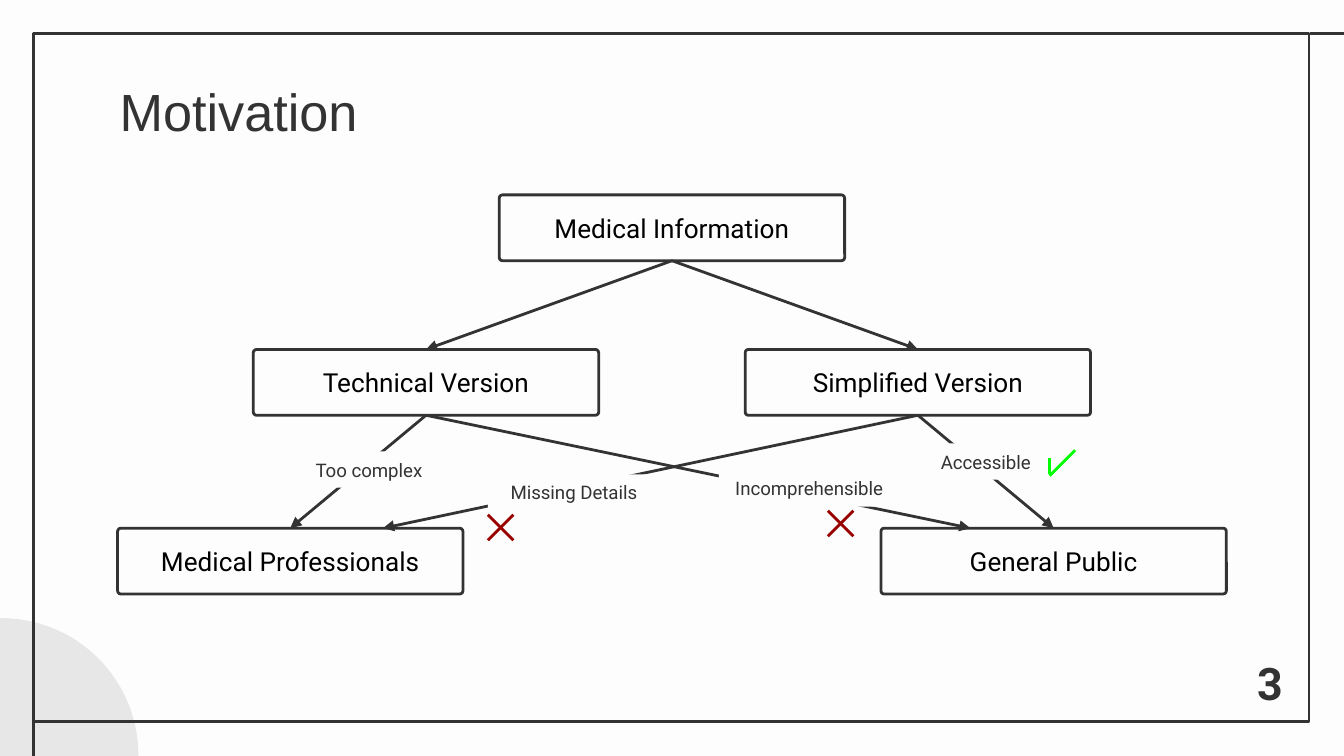
from dataclasses import dataclass

from lxml.etree import SubElement
from pptx import Presentation
from pptx.dml.color import RGBColor
from pptx.enum.shapes import MSO_CONNECTOR, MSO_SHAPE
from pptx.enum.text import MSO_ANCHOR, MSO_AUTO_SIZE, PP_ALIGN
from pptx.oxml.ns import qn
from pptx.util import Inches, Pt


@dataclass(frozen=True)
class Theme:
    paper: str = "FDFDFD"
    ink: str = "333333"
    node_text: str = "000000"
    accent: str = "E8E7E7"
    wrong: str = "980000"
    right: str = "00FF00"
    title_font: str = "Arial"
    body_font: str = "Roboto"
    title_size: int = 28
    number_size: int = 24
    node_size: int = 14
    label_size: int = 10
    stroke: float = 1.5


@dataclass(frozen=True)
class Node:
    text: str
    center: float
    top: float
    width: float = 2.57
    height: float = 0.49

    @property
    def left(self) -> float:
        return self.center - self.width / 2

    @property
    def bottom(self) -> float:
        return self.top + self.height


@dataclass(frozen=True)
class Arrow:
    source: Node
    target: Node
    shift: float = 0


@dataclass(frozen=True)
class Label:
    text: str
    left: float
    top: float
    width: float
    height: float = 0.27


THEME = Theme()
CROSS_SIZE = 0.19

information = Node("Medical Information", 5, 1.45)
technical = Node("Technical Version", 3.17, 2.6)
simplified = Node("Simplified Version", 6.83, 2.6)
professionals = Node("Medical Professionals", 2.16, 3.93)
public = Node("General Public", 7.84, 3.93)

NODES = [information, technical, simplified, professionals, public]
ARROWS = [
    Arrow(information, technical),
    Arrow(information, simplified),
    Arrow(technical, professionals),
    Arrow(simplified, public),
    Arrow(simplified, professionals, 0.69),
    Arrow(technical, public, -0.62),
]
LABELS = [
    Label("Missing Details", 3.63, 3.53, 1.28),
    Label("Too complex", 2.18, 3.36, 1.13),
    Label("Incomprehensible", 5.35, 3.5, 1.34),
    Label("Accessible", 6.9, 3.3, 0.87),
]
CROSSES = [(3.63, 3.83), (6.16, 3.8)]


def write(frame, text: str, *, size: float, color: str = THEME.ink, font: str = THEME.body_font,
          bold: bool = False, align=PP_ALIGN.CENTER, anchor=MSO_ANCHOR.MIDDLE,
          inset: float = 0.1, fit=MSO_AUTO_SIZE.NONE) -> None:
    frame.word_wrap = True
    frame.auto_size = fit
    frame.vertical_anchor = anchor
    frame.margin_left = frame.margin_right = Inches(inset)
    frame.margin_top = frame.margin_bottom = Inches(inset)
    paragraph = frame.paragraphs[0]
    paragraph.alignment = align
    run = paragraph.add_run()
    run.text = text
    run.font.name = font
    run.font.size = Pt(size)
    run.font.bold = bold
    run.font.color.rgb = RGBColor.from_string(color)


def draw_shape(slide, kind, left: float, top: float, width: float, height: float,
               fill: str = "", outline: str = ""):
    shape = slide.shapes.add_shape(kind, Inches(left), Inches(top), Inches(width), Inches(height))
    shape.shadow.inherit = False
    if fill:
        shape.fill.solid()
        shape.fill.fore_color.rgb = RGBColor.from_string(fill)
    else:
        shape.fill.background()
    if outline:
        shape.line.color.rgb = RGBColor.from_string(outline)
        shape.line.width = Pt(THEME.stroke)
    else:
        shape.line.fill.background()
    return shape


def draw_line(slide, x1: float, y1: float, x2: float, y2: float,
              color: str = THEME.ink, arrowhead: bool = False) -> None:
    connector = slide.shapes.add_connector(
        MSO_CONNECTOR.STRAIGHT, Inches(x1), Inches(y1), Inches(x2), Inches(y2))
    connector.line.color.rgb = RGBColor.from_string(color)
    connector.line.width = Pt(THEME.stroke)
    properties = connector._element.spPr
    if arrowhead:
        SubElement(properties.find(qn("a:ln")), qn("a:tailEnd"), type="triangle")
    SubElement(properties, qn("a:effectLst"))


def draw_node(slide, node: Node) -> None:
    box = draw_shape(slide, MSO_SHAPE.ROUNDED_RECTANGLE, node.left, node.top,
                     node.width, node.height, THEME.paper, THEME.ink)
    box.adjustments[0] = 0.05
    write(box.text_frame, node.text, size=THEME.node_size, color=THEME.node_text)


def draw_arrow(slide, arrow: Arrow) -> None:
    draw_line(slide, arrow.source.center, arrow.source.bottom,
              arrow.target.center + arrow.shift, arrow.target.top, arrowhead=True)


def draw_label(slide, label: Label) -> None:
    box = draw_shape(slide, MSO_SHAPE.RECTANGLE, label.left, label.top,
                     label.width, label.height, THEME.paper)
    write(box.text_frame, label.text, size=THEME.label_size, inset=0.05,
          fit=MSO_AUTO_SIZE.SHAPE_TO_FIT_TEXT)


def draw_cross(slide, left: float, top: float) -> None:
    right, bottom = left + CROSS_SIZE, top + CROSS_SIZE
    draw_line(slide, right, top, left, bottom, THEME.wrong)
    draw_line(slide, right, bottom, left, top, THEME.wrong)


def draw_frame(slide) -> None:
    draw_shape(slide, MSO_SHAPE.OVAL, -1.01, 4.6, 2.04, 2.04, THEME.accent)
    draw_shape(slide, MSO_SHAPE.RECTANGLE, 0.25, 0.25, 9.49, 5.12, outline=THEME.ink)
    draw_line(slide, 10.08, 0.25, 9.75, 0.25)
    draw_line(slide, 0.25, 5.68, 0.25, 5.35)


def main() -> None:
    deck = Presentation()
    deck.slide_width = Inches(10)
    deck.slide_height = deck.slide_width * 9 // 16
    slide = deck.slides.add_slide(deck.slide_layouts[5])
    slide.background.fill.solid()
    slide.background.fill.fore_color.rgb = RGBColor.from_string(THEME.paper)
    draw_frame(slide)

    heading = slide.shapes.title
    heading.left, heading.top = Inches(0.79), Inches(0.49)
    heading.width, heading.height = Inches(8.43), Inches(0.63)
    write(heading.text_frame, "Motivation", size=THEME.title_size, font=THEME.title_font,
          align=PP_ALIGN.LEFT, anchor=MSO_ANCHOR.TOP)

    page_number = slide.shapes.add_textbox(Inches(9.22), Inches(4.78), Inches(0.46), Inches(0.51))
    write(page_number.text_frame, "3", size=THEME.number_size, bold=True, anchor=MSO_ANCHOR.TOP)

    for node in NODES:
        draw_node(slide, node)
    for arrow in ARROWS:
        draw_arrow(slide, arrow)
    for label in LABELS:
        draw_label(slide, label)
    for left, top in CROSSES:
        draw_cross(slide, left, top)
    draw_line(slide, 8, 3.35, 7.81, 3.54, THEME.right)
    draw_line(slide, 7.81, 3.53, 7.81, 3.41, THEME.right)
    deck.save("out.pptx")


if __name__ == "__main__":
    main()
